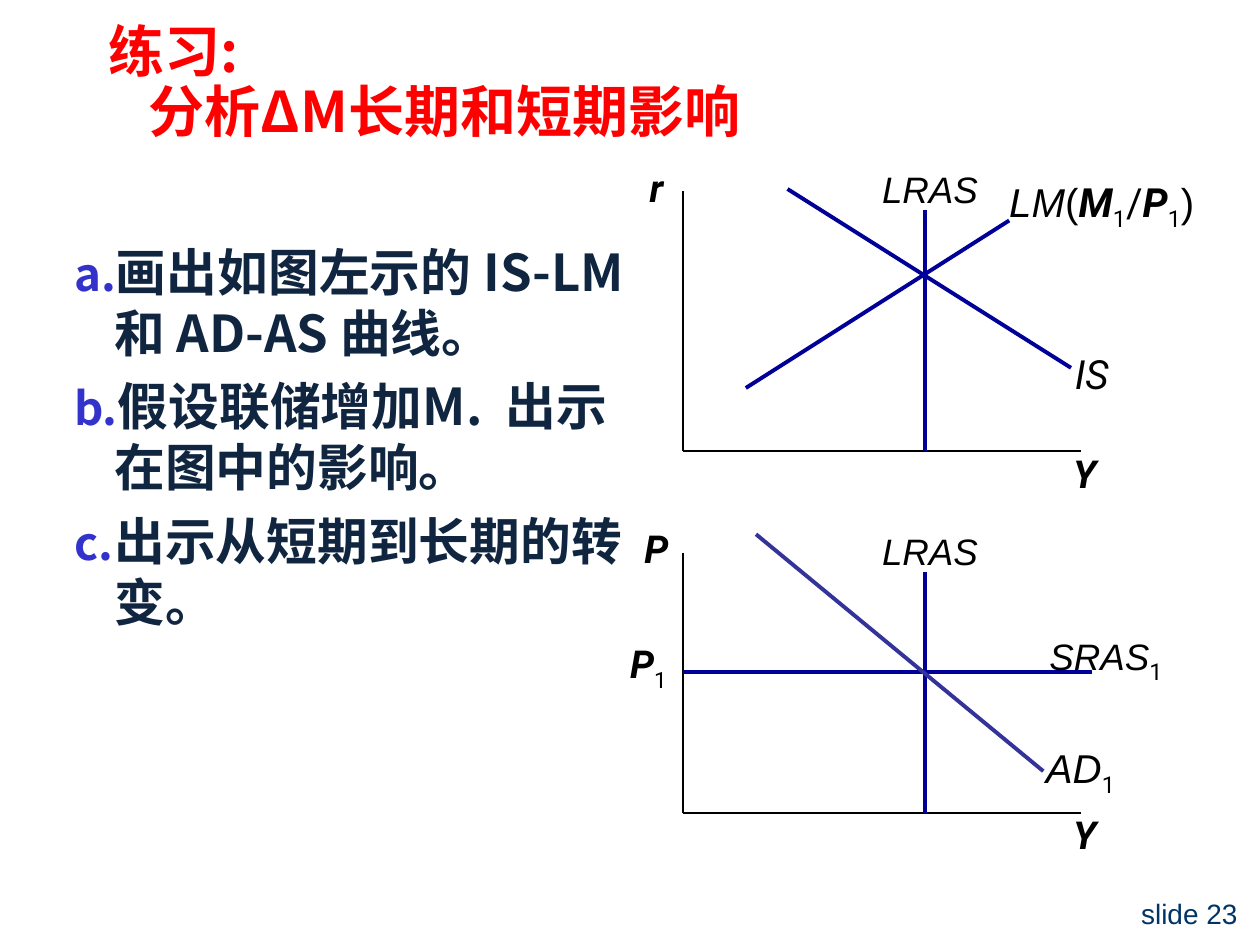
from lxml import etree
from pptx import Presentation
from pptx.dml.color import RGBColor
from pptx.enum.shapes import MSO_CONNECTOR
from pptx.enum.text import MSO_ANCHOR, PP_ALIGN
from pptx.oxml.ns import qn
from pptx.util import Pt

STRAIGHT = MSO_CONNECTOR.STRAIGHT
TOP, MIDDLE = MSO_ANCHOR.TOP, MSO_ANCHOR.MIDDLE
LEFT, CENTER, RIGHT = PP_ALIGN.LEFT, PP_ALIGN.CENTER, PP_ALIGN.RIGHT
SANS, MATH, CJK = "Arial", "Roboto", "Noto Sans CJK SC"
BLACK, NAVY, INDIGO = "000000", "000099", "333399"
GRAPH_W, GRAPH_H = 227.5, 148.3
LRAS_X = 138.2  # from the vertical axis


def rgb(color):
    return RGBColor.from_string(color)


def add_box(s, x, y, w, h, inset=(0, 0, 0, 0), anchor=TOP):
    sp = s.shapes.add_textbox(Pt(x), Pt(y), Pt(w), Pt(h))
    tf = sp.text_frame
    tf.word_wrap = True
    tf.vertical_anchor = anchor
    tf.margin_left, tf.margin_top, tf.margin_right, tf.margin_bottom = map(Pt, inset)
    return sp


def add_run(p, text, size, font, color=BLACK, style=""):
    """Style letters: b bold, i italic, s subscript."""
    r = p.add_run()
    r.text = text
    r.font.size = Pt(size)
    r.font.bold = "b" in style
    r.font.italic = "i" in style
    r.font.color.rgb = rgb(color)
    r.font.name = font
    rPr = r.font._element
    etree.SubElement(rPr, qn("a:ea")).set("typeface", font)
    if "s" in style:
        rPr.set("baseline", "-25000")


def add_label(s, x, y, w, h, runs, inset=(0, 0, 0, 0), align=LEFT):
    p = add_box(s, x, y, w, h, inset).text_frame.paragraphs[0]
    p.alignment = align
    for text, size, font, style in runs:
        add_run(p, text, size, font, style=style)


def add_line(s, x1, y1, x2, y2, color=NAVY, width=2.25):
    c = s.shapes.add_connector(STRAIGHT, Pt(x1), Pt(y1), Pt(x2), Pt(y2))
    c.line.color.rgb = rgb(color)
    c.line.width = Pt(width)
    etree.SubElement(c._element.spPr, qn("a:effectLst"))


def add_title(s, x, y, w, h):
    p = add_box(s, x, y, w, h, (7.2, 3.6, 7.2, 3.6), MIDDLE).text_frame.paragraphs[0]
    p.line_spacing = 0.9
    pPr = p._p.get_or_add_pPr()
    pPr.set("marL", str(Pt(23)))
    pPr.set("indent", str(-Pt(23)))
    add_run(p, "练习:", 32, CJK, "FF0000", "b")
    p.add_line_break()
    add_run(p, "分析ΔM长期和短期影响", 32, CJK, "FF0000", "b")


def add_questions(s, x, y, w, h, questions):
    sp = add_box(s, x, y, w, h, (7.2, 3.6, 0, 3.6))
    sp.fill.solid()
    sp.fill.fore_color.rgb = rgb("FFFFFF")
    tf = sp.text_frame
    for i, question in enumerate(questions):
        p = tf.paragraphs[0] if i == 0 else tf.add_paragraph()
        if i:
            p.space_before = Pt(7.25)
        pPr = p._p.get_or_add_pPr()
        pPr.set("marL", str(Pt(23)))
        pPr.set("indent", str(-Pt(23)))
        color = etree.SubElement(pPr, qn("a:buClr"))
        etree.SubElement(color, qn("a:srgbClr")).set("val", "3333CC")
        etree.SubElement(pPr, qn("a:buSzPct")).set("val", "90000")
        etree.SubElement(pPr, qn("a:buFont")).set("typeface", CJK)
        etree.SubElement(pPr, qn("a:buAutoNum")).set("type", "alphaLcPeriod")
        add_run(p, question, 29, CJK, "10253F", "b")


def add_axes(s, x, y, name):
    """Axes with the LRAS line that both graphs share."""
    base = y + GRAPH_H
    inset = (7.2, 3.6, 7.2, 3.6)
    add_line(s, x, y, x, base, BLACK, 1)
    add_line(s, x, base, x + GRAPH_W, base, BLACK, 1)
    add_label(s, x + 216, base - 4.3, 42, 34, [("Y", 22, MATH, "bi")], inset)
    add_label(s, x - 30.2, y - 19.4, 30.2, 34, [(name, 22, MATH, "bi")], inset, CENTER)
    add_line(s, x + LRAS_X, y + 10.8, x + LRAS_X, base)
    add_label(s, x + 113.8, y - 14, 60, 24, [("LRAS", 21, SANS, "i")])


def add_is_lm(s, x, y):
    add_axes(s, x, y, "r")
    add_line(s, x + 59.8, y - 1.4, x + 221.8, y + 100.8)
    add_label(s, x + 224, y + 90, 34, 34.5, [("IS", 23, MATH, "i")])
    add_line(s, x + 36, y + 112.3, x + 186.5, y + 16.6)
    add_label(s, x + 186.5, y - 7.9, 114, 27.4, [
        ("LM", 23, SANS, "i"), ("(", 23, SANS, ""),
        ("M", 23, MATH, "bi"), ("1", 23, MATH, "s"), ("/", 23, MATH, ""),
        ("P", 23, MATH, "bi"), ("1", 23, MATH, "s"), (")", 23, SANS, "")])


def add_ad_as(s, x, y):
    add_axes(s, x, y, "P")
    add_line(s, x, y + 67.7, x + 234, y + 67.7)
    add_label(s, x + 209.5, y + 43.9, 72, 30,
              [("SRAS", 21, SANS, "i"), ("1", 23, MATH, "s")])
    add_label(s, x - 30.2, y + 49.7, 30.2, 36,
              [("P", 22, MATH, "bi"), ("1", 22, MATH, "s")])
    add_label(s, x + 207.4, y + 108.7, 44.6, 31,
              [("AD", 23, SANS, "i"), ("1", 23, MATH, "s")])
    add_line(s, x + 41.8, y - 10.8, x + 206, y + 124.6, INDIGO)


def add_slide_number(s, x, y, w, h):
    p = add_box(s, x, y, w, h, (7.2, 3.6, 7.2, 3.6), MIDDLE).text_frame.paragraphs[0]
    p.alignment = RIGHT
    add_run(p, "slide 23", 16, SANS, "003366")


def main():
    prs = Presentation()
    prs.slide_width, prs.slide_height = Pt(720), Pt(540)
    s = prs.slides.add_slide(prs.slide_layouts[6])
    add_slide_number(s, 624.2, 509.8, 90, 23.8)
    add_title(s, 54.7, 15.1, 582.5, 66.2)
    add_questions(s, 35.3, 133.9, 324, 406, [
        "画出如图左示的 IS-LM 和 AD-AS 曲线。",
        "假设联储增加M.  出示在图中的影响。",
        "出示从短期到长期的转变。"])
    add_is_lm(s, 390.2, 109.4)
    add_ad_as(s, 390.2, 316.1)
    prs.save("out.pptx")


if __name__ == "__main__":
    main()
